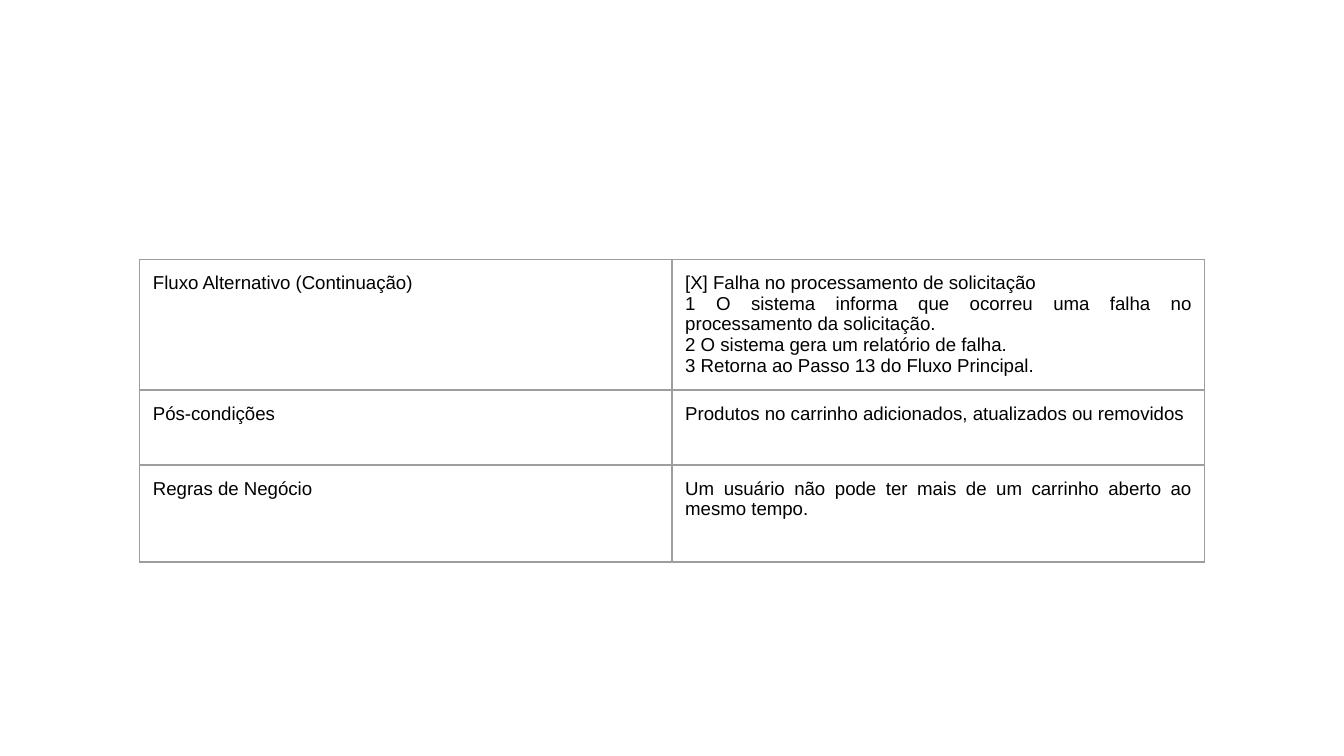
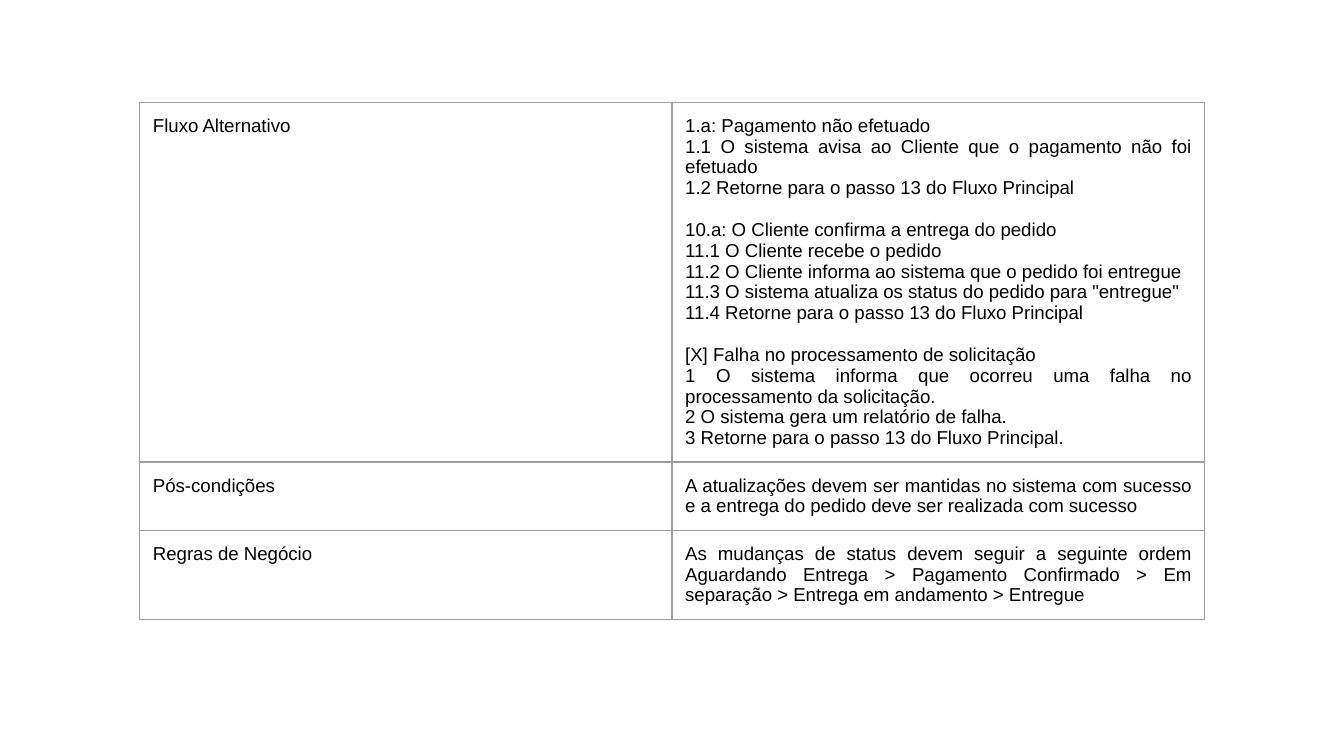
"""Build two slides of use-case tables."""
from lxml.etree import SubElement as Sub
from pptx import Presentation
from pptx.dml.color import RGBColor as Rgb
from pptx.enum.text import PP_ALIGN as Align
from pptx.oxml.ns import qn
from pptx.util import Cm, Pt

HUES = {"page": "FFFFFF", "text": "000000", "rule": "9E9E9E"}
FONT, SIZE, LINE = "Arial", Pt(10), Pt(0.75)
LEFT, WIDE, PAD = Cm(2.64), Cm(10.06), Cm(0.25)
GAP = Pt(11.15)

FAIL = [
    "[X] Falha no processamento de solicitação",
    "1 O sistema informa que ocorreu uma falha no processamento da solicitação.",
    "2 O sistema gera um relatório de falha.",
]
POST, RULES = "Pós-condições", "Regras de Negócio"

SLIDES = [
    {
        "top": 4.9,
        "rows": [
            (1.42, "Fluxo Alternativo (Continuação)",
             [FAIL + ["3 Retorna ao Passo 13 do Fluxo Principal."]]),
            (1.42, POST,
             [["Produtos no carrinho adicionados, atualizados ou removidos"]]),
            (1.83, RULES,
             [["Um usuário não pode ter mais de um carrinho aberto ao mesmo tempo."]]),
        ],
    },
    {
        "top": 1.93,
        "rows": [
            (1.07, "Fluxo Alternativo", [
                ["1.a: Pagamento não efetuado",
                 "1.1 O sistema avisa ao Cliente que o pagamento não foi efetuado",
                 "1.2 Retorne para o passo 13 do Fluxo Principal"],
                ["10.a: O Cliente confirma a entrega do pedido",
                 "11.1 O Cliente recebe o pedido",
                 "11.2 O Cliente informa ao sistema que o pedido foi entregue",
                 '11.3 O sistema atualiza os status do pedido para "entregue"',
                 "11.4 Retorne para o passo 13 do Fluxo Principal"],
                FAIL + ["3 Retorne para o passo 13 do Fluxo Principal."],
            ]),
            (1.07, POST,
             [["A atualizações devem ser mantidas no sistema com sucesso "
               "e a entrega do pedido deve ser realizada com sucesso"]]),
            (1.07, RULES,
             [["As mudanças de status devem seguir a seguinte ordem "
               "Aguardando Entrega > Pagamento Confirmado > Em separação > "
               "Entrega em andamento > Entregue"]]),
        ],
    },
]


def frame(cell):
    """Clear the fill, then set the margins and four borders of a cell."""
    cell.fill.background()
    cell.margin_left = cell.margin_right = PAD
    cell.margin_top = cell.margin_bottom = PAD
    props = cell._tc.get_or_add_tcPr()
    for spot, side in enumerate("LRTB"):
        edge = Sub(props, qn(f"a:ln{side}"), w=str(LINE))
        props.insert(spot, edge)
        Sub(Sub(edge, qn("a:solidFill")), qn("a:srgbClr"), val=HUES["rule"])


def write(cell, groups, align):
    """Write groups of lines, with one line of space between groups."""
    body = cell.text_frame
    for part, group in enumerate(groups):
        for spot, text in enumerate(group):
            para = body.add_paragraph() if part or spot else body.paragraphs[0]
            para.alignment = align
            if part and not spot:
                para.space_before = GAP
            run = para.add_run()
            run.text = text
            run.font.name, run.font.size = FONT, SIZE
            run.font.color.rgb = Rgb.from_string(HUES["text"])


def build(deck, data):
    """Add one slide with its table."""
    slide = deck.slides.add_slide(deck.slide_layouts[6])
    fill = slide.background.fill
    fill.solid()
    fill.fore_color.rgb = Rgb.from_string(HUES["page"])
    rows = data["rows"]
    high = Cm(sum(row[0] for row in rows))
    grid = slide.shapes.add_table(
        len(rows), 2, LEFT, Cm(data["top"]), 2 * WIDE, high).table
    grid.first_row = grid.horz_banding = False
    for line, (tall, label, groups) in zip(grid.rows, rows):
        line.height = Cm(tall)
        name, text = line.cells
        frame(name)
        frame(text)
        write(name, [[label]], Align.LEFT)
        write(text, groups, Align.JUSTIFY)


deck = Presentation()
deck.slide_width, deck.slide_height = Cm(25.4), Cm(14.29)
for data in SLIDES:
    build(deck, data)
deck.save("out.pptx")
